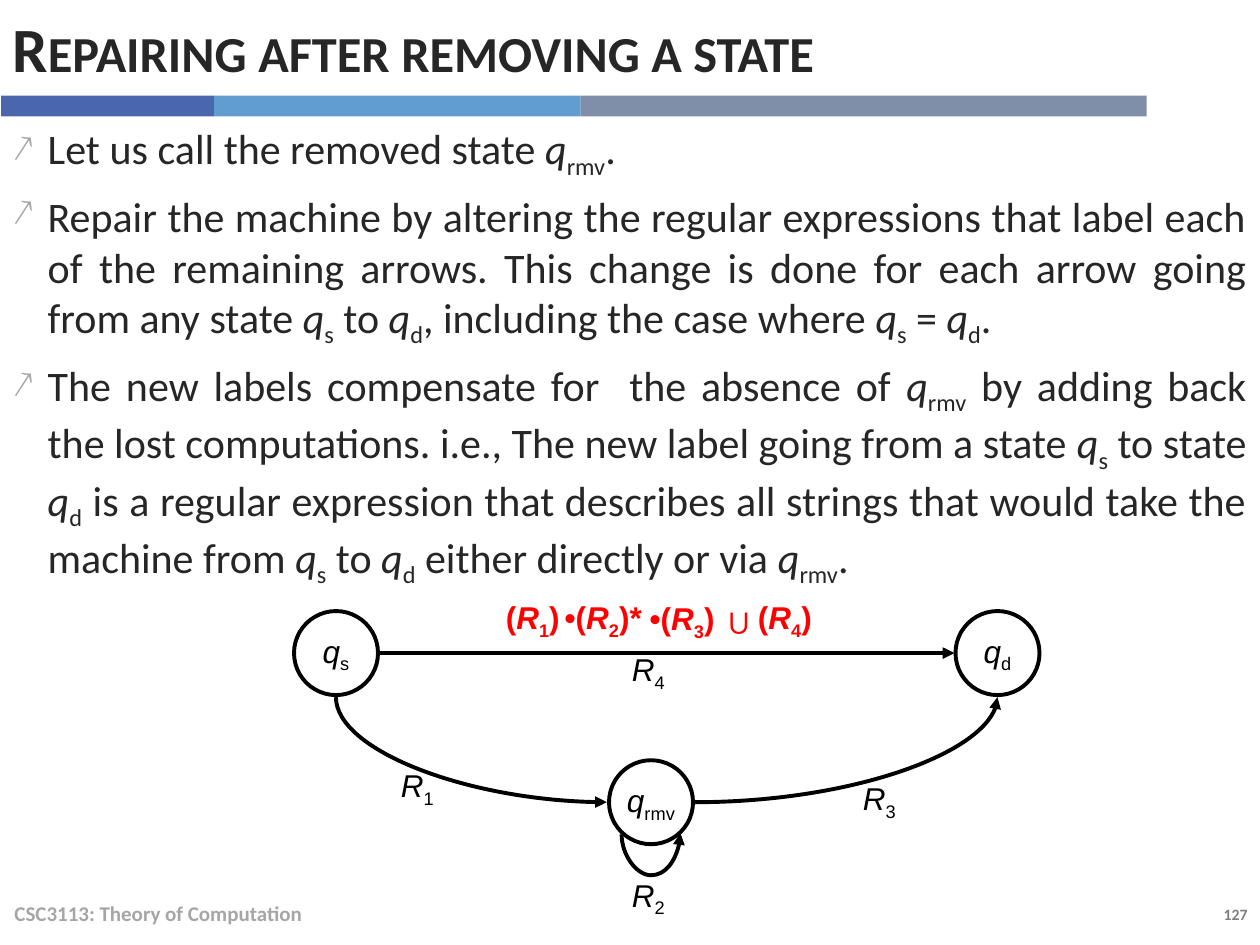
from dataclasses import dataclass

from lxml.etree import SubElement
from pptx import Presentation
from pptx.dml.color import RGBColor
from pptx.enum.shapes import MSO_CONNECTOR as Link, MSO_SHAPE as Shape
from pptx.enum.text import MSO_ANCHOR as Anchor, PP_ALIGN as Align
from pptx.oxml.ns import qn
from pptx.util import Inches, Pt

COLORS = {
    "ink": "262626", "black": "000000", "red": "FF0000", "muted": "A6A6A6",
    "number": "808080", "navy": "4A66AC", "sky": "629DD1", "slate": "7F8FA9",
}
CELL = Inches(1) / 12  # the page is a grid of 120 columns and 90 rows
PARAGRAPHS = [
    "Let us call the removed state |q_rmv|.",
    "Repair the machine by altering the regular expressions that label each of the "
    "remaining arrows. This change is done for each arrow going from any state "
    "|q_s| to |q_d|, including the case where |q_s| = |q_d|.",
    "The new labels compensate for  the absence of |q_rmv| by adding back the lost "
    "computations. i.e., The new label going from a state |q_s| to state |q_d| is a "
    "regular expression that describes all strings that would take the machine from "
    "|q_s| to |q_d| either directly or via |q_rmv|.",
]


@dataclass
class Box:
    """An area of the page, in grid columns and rows."""
    col: float
    row: float
    cols: float
    rows: float

    def area(self, col, row, cols, rows):
        return Box(self.col + col, self.row + row, cols, rows)

    def lengths(self):
        return [round(n * CELL) for n in (self.col, self.row, self.cols, self.rows)]


def rgb(name):
    return RGBColor.from_string(COLORS[name])


def add_span(para, text, size, font, color, bold=False, italic=False):
    span = para.add_run()
    span.text = text
    span.font.size, span.font.name = Pt(size), font
    span.font.bold, span.font.italic = bold, italic
    span.font.color.rgb = rgb(color)
    return span


def write(para, text, *style, bold=False):
    """Add runs; pieces between bars are symbols such as q_s."""
    for index, piece in enumerate(text.split("|")):
        if index % 2:
            letter, subscript = piece.split("_")
            add_span(para, letter, *style, bold=bold, italic=True)
            span = add_span(para, subscript, *style, bold=bold)
            span._r.get_or_add_rPr().set("baseline", "-25000")
        elif piece:
            add_span(para, piece, *style, bold=bold)


def add_text(page, box, text, *style, bold=False, anchor=Anchor.TOP, align=Align.LEFT):
    frame = page.shapes.add_textbox(*box.lengths()).text_frame
    frame.word_wrap = True
    frame.vertical_anchor = anchor
    para = frame.paragraphs[0]
    para.alignment = align
    write(para, text, *style, bold=bold)
    return para


def add_header(page, box):
    # Title in small capitals
    title = add_text(page, box.area(0, 0, box.cols, 9.1), "Repairing after removing a state",
                     36, "Calibri", "ink", bold=True, anchor=Anchor.MIDDLE)
    title.runs[0]._r.get_or_add_rPr().set("cap", "small")
    # Three-colour band
    col = 0.1
    for color, cols in (("navy", 20.3), ("sky", 34.9), ("slate", 53.9)):
        band = page.shapes.add_shape(Shape.RECTANGLE, *box.area(col, 9.1, cols, 2).lengths())
        band.shadow.inherit = False
        band.fill.solid()
        band.fill.fore_color.rgb = rgb(color)
        band.line.fill.background()
        col += cols


def add_body(page, box):
    frame = page.shapes.add_textbox(*box.lengths()).text_frame
    frame.word_wrap = True
    for index, text in enumerate(PARAGRAPHS):
        para = frame.add_paragraph() if index else frame.paragraphs[0]
        para.alignment = Align.JUSTIFY
        if index:
            para.space_before = Pt(6)
        props = para._p.get_or_add_pPr()
        props.set("marL", str(Inches(0.28)))
        props.set("indent", str(-Inches(0.28)))
        SubElement(SubElement(props, qn("a:buClr")), qn("a:srgbClr"), val=COLORS["muted"])
        SubElement(props, qn("a:buSzPct"), val="90000")
        SubElement(props, qn("a:buChar"), char="↗")
        write(para, text, 24, "Calibri", "ink")


def add_state(page, box, symbol):
    state = page.shapes.add_shape(Shape.OVAL, *box.lengths())
    state.shadow.inherit = False
    state.fill.background()
    state.line.color.rgb = rgb("black")
    state.line.width = Pt(2.25)
    frame = state.text_frame
    frame.word_wrap = False
    frame.vertical_anchor = Anchor.MIDDLE
    frame.paragraphs[0].alignment = Align.CENTER
    write(frame.paragraphs[0], symbol, 18, "Arial", "black")


def add_arrow(page, box, kind, arrow_end, preset=None):
    """Join the box's first corner to its opposite one; sizes may be negative."""
    left, top, width, height = box.lengths()
    arrow = page.shapes.add_connector(kind, left, top, left + width, top + height)
    arrow.line.color.rgb = rgb("black")
    arrow.line.width = Pt(2.25)
    props = arrow._element.spPr
    SubElement(props.find(qn("a:ln")), qn(f"a:{arrow_end}"), type="triangle")
    SubElement(props, qn("a:effectLst"))
    if preset:
        props.find(qn("a:prstGeom")).set("prst", preset)
    return props


def add_diagram(page, box):
    # States
    for col, row, symbol in ((0, 1.8, "|q_s|"), (30, 16, "|q_rmv|"), (63, 1.8, "|q_d|")):
        add_state(page, box.area(col, row, 8, 8), symbol)

    # Arrows between states
    add_arrow(page, box.area(8.2, 5.8, 54.7, 0), Link.STRAIGHT, "tailEnd")
    add_arrow(page, box.area(29.8, 20, -25.8, -10), Link.CURVE, "headEnd", "curvedConnector2")
    add_arrow(page, box.area(38.2, 20, 28.8, -10), Link.CURVE, "tailEnd", "curvedConnector2")

    # Self-loop: a thin connector turned a quarter, bulging 34 times its width
    loop = add_arrow(page, box.area(33.94, 20.2, 0.12, 5.6), Link.CURVE, "headEnd")
    loop.find(qn("a:xfrm")).set("rot", "5400000")
    guides = loop.find(qn("a:prstGeom")).find(qn("a:avLst"))
    SubElement(guides, qn("a:gd"), name="adj1", fmla="val 3400000")

    # Arrow labels
    for col, row, symbol in ((31, 4.9, "|R_4|"), (31, 26.4, "|R_2|"),
                             (9, 16, "|R_1|"), (53, 17.2, "|R_3|")):
        add_text(page, box.area(col, row, 8, 4.8), symbol, 18, "Arial", "black")

    # New label, piece by piece
    for col, row, cols, size, text in (
            (19, 0, 11, 18, "(|R_1|)"), (24.6, 0, 12, 18, "•(|R_2|)*"),
            (32.7, 0.1, 9.8, 18, "•(|R_3|)"), (43, 0, 8, 18, "(|R_4|)"),
            (40, 0.1, 5, 20, "∪")):
        add_text(page, box.area(col, row, cols, 4.8), text, size, "Arial", "red", bold=True)


def add_footer(page, box):
    add_text(page, box.area(0.2, 0, 80.4, 4.8), "CSC3113: Theory of Computation",
             12, "Calibri", "muted", bold=True, anchor=Anchor.MIDDLE)
    add_text(page, box.area(104.8, 1, 15.2, 3), "127",
             9, "Calibri", "number", bold=True, align=Align.RIGHT)


def main():
    deck = Presentation()
    deck.slide_width, deck.slide_height = Inches(10), Inches(7.5)
    page = deck.slides.add_slide(deck.slide_layouts[6])
    add_header(page, Box(0, 0, 109.2, 11.1))
    add_footer(page, Box(0, 84.6, 120, 4.8))
    add_body(page, Box(0, 11.1, 119.9, 73.3))
    add_diagram(page, Box(28, 56.4, 71, 31.2))
    deck.save("out.pptx")


if __name__ == "__main__":
    main()
